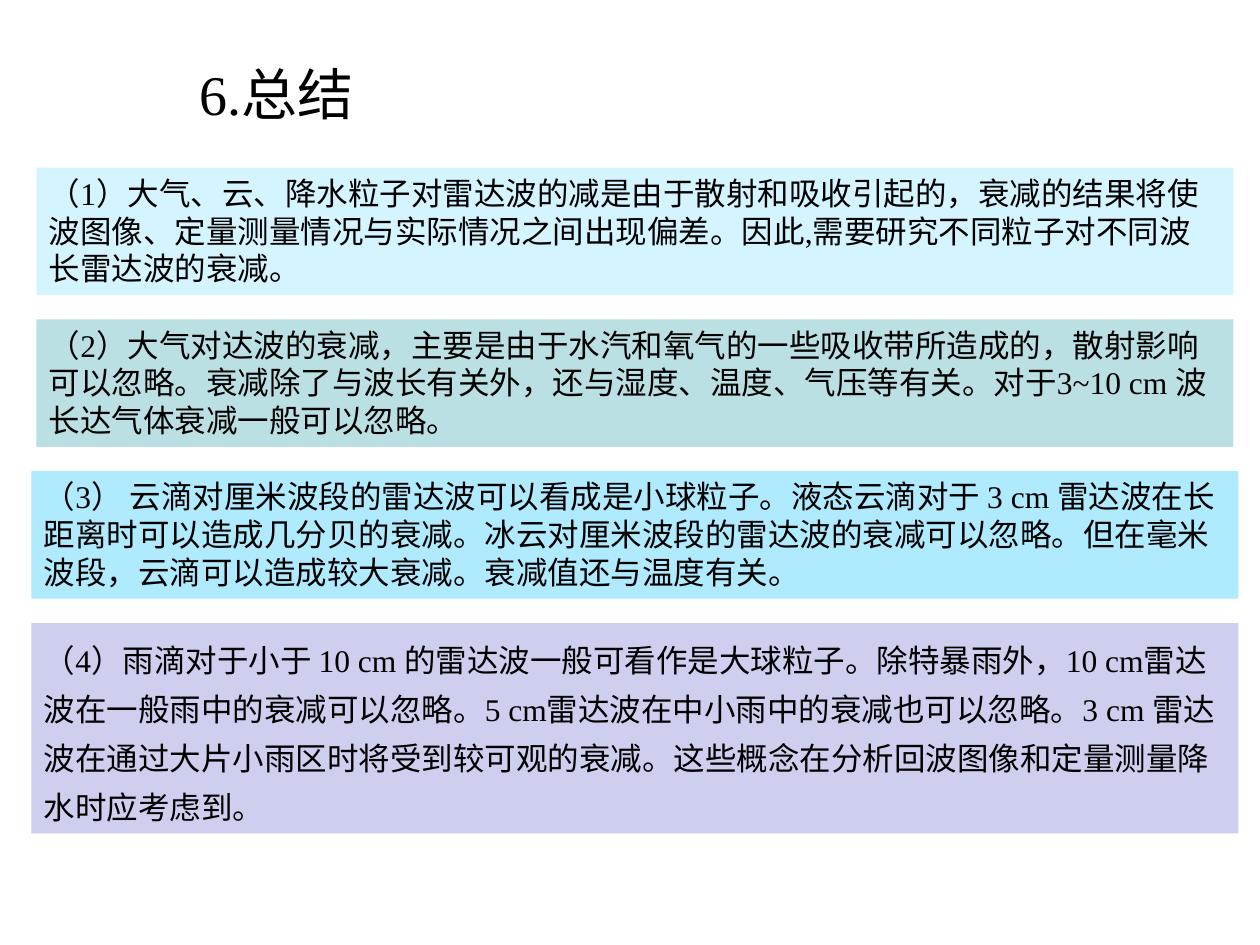
from dataclasses import dataclass

from pptx import Presentation
from pptx.dml.color import RGBColor
from pptx.enum.shapes import MSO_SHAPE
from pptx.enum.text import MSO_ANCHOR, MSO_AUTO_SIZE, PP_ALIGN
from pptx.util import Cm, Pt


@dataclass(frozen=True)
class Theme:
    font: str = "Times New Roman"
    text: str = "000000"
    title_size: int = 32
    body_size: int = 18
    pale_blue: str = "D4F5FF"
    teal: str = "BBE0E3"
    sky_blue: str = "AFEAFE"
    lavender: str = "CECEEF"


THEME = Theme()

# Bands share one centre line and one vertical step (cm)
CENTER, FIRST_TOP, STEP = 12.8, 3.38, 3.06
NARROW, WIDE = 24.13, 24.33

# Text, fill, width, height, line spacing
CONCLUSIONS = [
    ("（1）大气、云、降水粒子对雷达波的减是由于散射和吸收引起的，衰减的结果将使波图像、"
     "定量测量情况与实际情况之间出现偏差。因此,需要研究不同粒子对不同波长雷达波的衰减。",
     THEME.pale_blue, NARROW, 2.57, 1.0),
    ("（2）大气对达波的衰减，主要是由于水汽和氧气的一些吸收带所造成的，散射影响可以忽略。"
     "衰减除了与波长有关外，还与湿度、温度、气压等有关。对于3~10 cm 波长达气体衰减一般可以忽略。",
     THEME.teal, NARROW, 2.57, 1.0),
    ("（3） 云滴对厘米波段的雷达波可以看成是小球粒子。液态云滴对于 3 cm 雷达波在长距离时"
     "可以造成几分贝的衰减。冰云对厘米波段的雷达波的衰减可以忽略。但在毫米波段，"
     "云滴可以造成较大衰减。衰减值还与温度有关。",
     THEME.sky_blue, WIDE, 2.57, 1.0),
    ("（4）雨滴对于小于 10 cm 的雷达波一般可看作是大球粒子。除特暴雨外，10 cm雷达波在一般雨中的"
     "衰减可以忽略。5 cm雷达波在中小雨中的衰减也可以忽略。3 cm 雷达波在通过大片小雨区时"
     "将受到较可观的衰减。这些概念在分析回波图像和定量测量降水时应考虑到。",
     THEME.lavender, WIDE, 4.24, 1.3),
]


def set_text(shape, text, size, line_spacing=1.0):
    """Fill a shape with one left-aligned paragraph."""
    frame = shape.text_frame
    frame.text = text
    frame.word_wrap = True
    frame.auto_size = MSO_AUTO_SIZE.SHAPE_TO_FIT_TEXT
    frame.vertical_anchor = MSO_ANCHOR.TOP
    paragraph = frame.paragraphs[0]
    paragraph.alignment = PP_ALIGN.LEFT
    paragraph.line_spacing = line_spacing
    font = paragraph.runs[0].font
    font.name = THEME.font
    font.size = Pt(size)
    font.color.rgb = RGBColor.from_string(THEME.text)


def add_title(slide, text):
    title = slide.shapes.title
    title.left, title.top = Cm(3.76), Cm(1.07)
    title.width, title.height = Cm(13.03), Cm(1.63)
    set_text(title, text, THEME.title_size)


def add_band(slide, top, text, fill, width, height, line_spacing):
    band = slide.shapes.add_shape(
        MSO_SHAPE.RECTANGLE, Cm(CENTER - width / 2), Cm(top), Cm(width), Cm(height))
    band.shadow.inherit = False
    band.fill.solid()
    band.fill.fore_color.rgb = RGBColor.from_string(fill)
    band.line.fill.background()
    set_text(band, text, THEME.body_size, line_spacing)


def main():
    presentation = Presentation()
    presentation.slide_width, presentation.slide_height = Cm(25.4), Cm(19.05)
    slide = presentation.slides.add_slide(presentation.slide_layouts[5])

    # Title
    add_title(slide, "6.总结")

    # Numbered conclusions
    for index, conclusion in enumerate(CONCLUSIONS):
        add_band(slide, FIRST_TOP + index * STEP, *conclusion)

    presentation.save("out.pptx")


if __name__ == "__main__":
    main()
